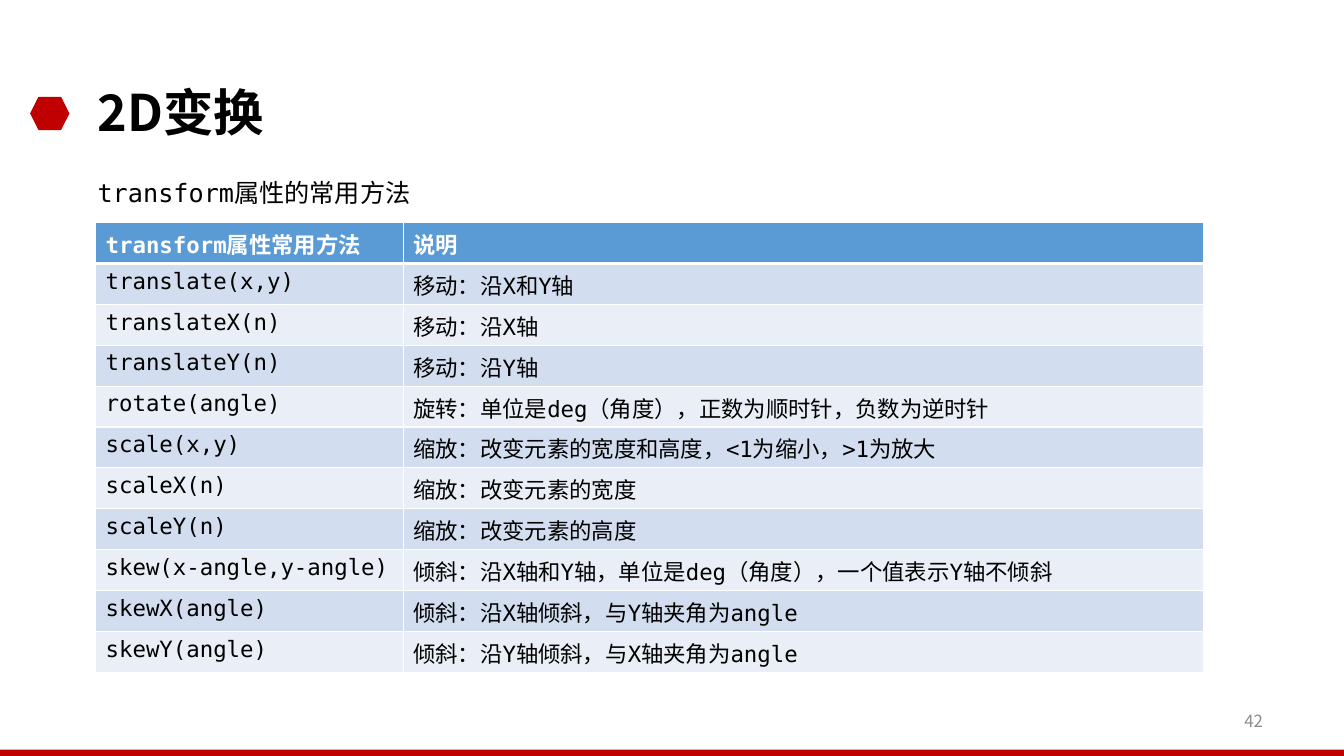
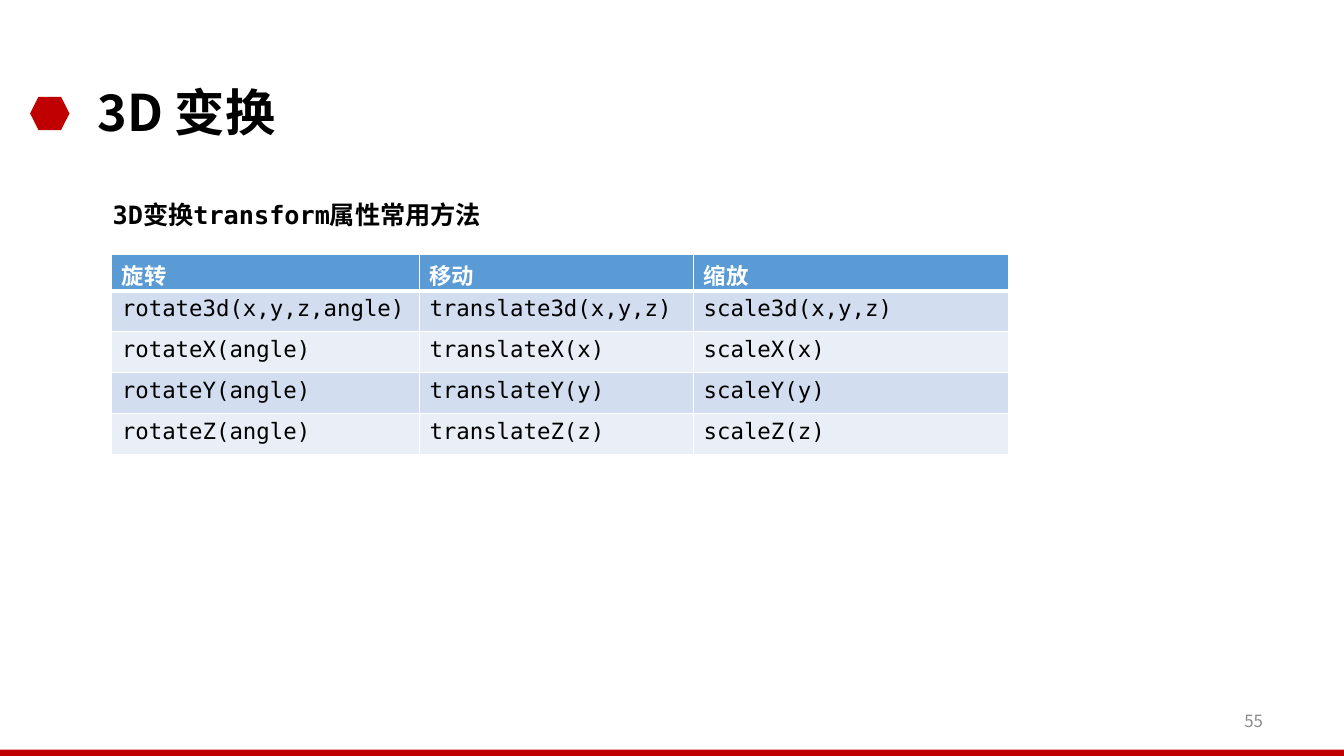
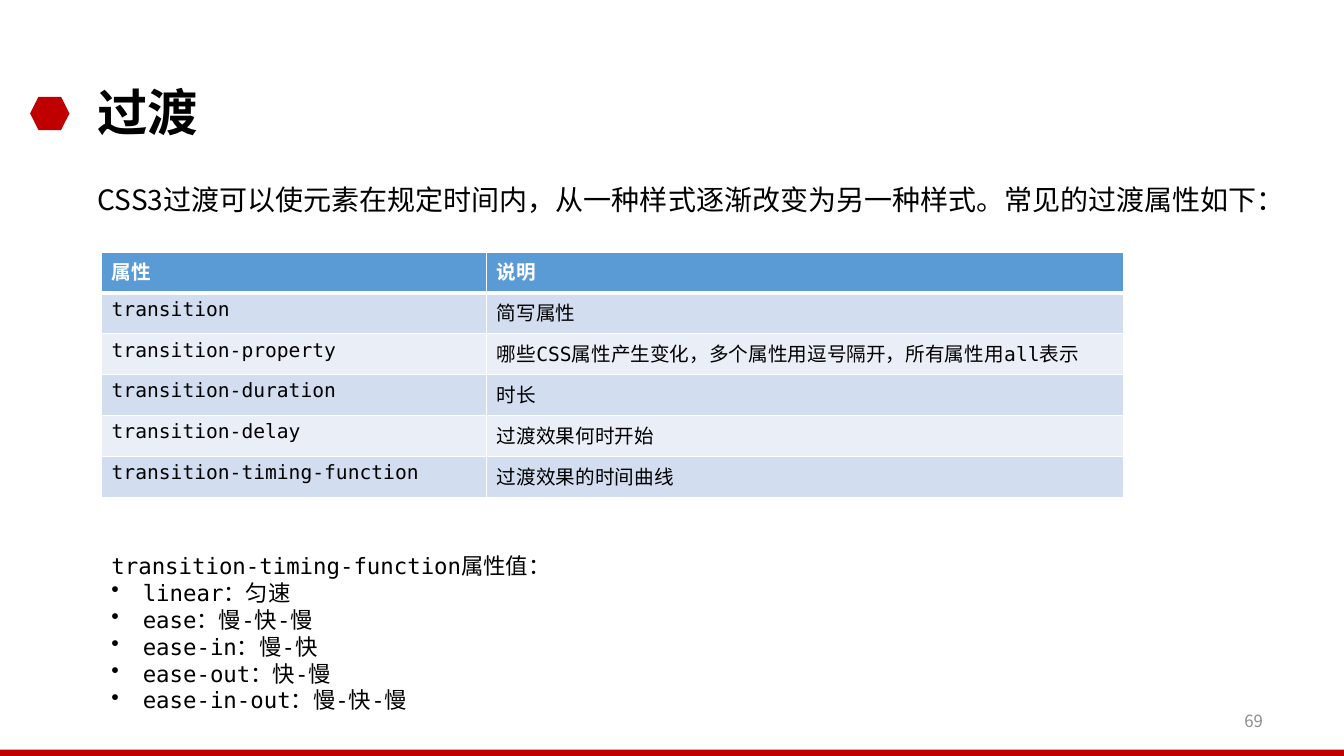
from dataclasses import dataclass

from lxml.etree import SubElement
from pptx import Presentation
from pptx.dml.color import RGBColor
from pptx.enum.shapes import MSO_SHAPE as Shape
from pptx.enum.text import MSO_ANCHOR as Anchor, MSO_AUTO_SIZE as Fit, PP_ALIGN as Align
from pptx.oxml.ns import qn
from pptx.util import Cm, Pt


@dataclass(frozen=True)
class Theme:
    red: str = "C00000"
    grey: str = "8C8C8C"
    ink: str = "000000"
    white: str = "FFFFFF"
    head: str = "5B9BD5"
    bands: tuple = ("D2DEEF", "EAEFF7")
    sans: str = "Noto Sans CJK SC"
    mono: str = "DejaVu Sans Mono"
    title: int = 36
    lead: int = 20
    intro: int = 18
    body: int = 16
    small: int = 14
    foot: int = 12


T = Theme()
ROW = 1.03

# Boxes are (left, top, width, height) in cm.
SLIDES = [
    dict(
        title="2D变换", page=42,
        intro=dict(text="transform属性的常用方法", box=(2.21, 3.96, 27.36, 1.3),
                   size=T.intro, face=T.mono, space=1.5),
        table=dict(at=(2.41, 5.61), cols=(7.75, 20.17), top=ROW, size=T.body, rows=[
            ("transform属性常用方法", "说明"),
            ("translate(x,y)", "移动：沿X和Y轴"),
            ("translateX(n)", "移动：沿X轴"),
            ("translateY(n)", "移动：沿Y轴"),
            ("rotate(angle)", "旋转：单位是deg（角度），正数为顺时针，负数为逆时针"),
            ("scale(x,y)", "缩放：改变元素的宽度和高度，<1为缩小，>1为放大"),
            ("scaleX(n)", "缩放：改变元素的宽度"),
            ("scaleY(n)", "缩放：改变元素的高度"),
            ("skew(x-angle,y-angle)", "倾斜：沿X轴和Y轴，单位是deg（角度），一个值表示Y轴不倾斜"),
            ("skewX(angle)", "倾斜：沿X轴倾斜，与Y轴夹角为angle"),
            ("skewY(angle)", "倾斜：沿Y轴倾斜，与X轴夹角为angle"),
        ]),
    ),
    dict(
        title="3D 变换", page=55,
        intro=dict(text="3D变换transform属性常用方法", box=(2.59, 4.52, 27.36, 1.3),
                   size=T.intro, face=T.mono, space=1.5, bold=True),
        table=dict(at=(2.82, 6.4), cols=(7.75, 6.91, 7.95), top=0.82, size=T.body, rows=[
            ("旋转", "移动", "缩放"),
            ("rotate3d(x,y,z,angle)", "translate3d(x,y,z)", "scale3d(x,y,z)"),
            ("rotateX(angle)", "translateX(x)", "scaleX(x)"),
            ("rotateY(angle)", "translateY(y)", "scaleY(y)"),
            ("rotateZ(angle)", "translateZ(z)", "scaleZ(z)"),
        ]),
    ),
    dict(
        title="过渡", page=69,
        intro=dict(text="CSS3过渡可以使元素在规定时间内，从一种样式逐渐改变为另一种样式。常见的过渡属性如下：",
                   box=(2.21, 4.47, 30.56, 1.11), size=T.lead, wrap=False),
        table=dict(at=(2.56, 6.35), cols=(9.71, 16.04), top=ROW, size=T.small, rows=[
            ("属性", "说明"),
            ("transition", "简写属性"),
            ("transition-property", "哪些CSS属性产生变化，多个属性用逗号隔开，所有属性用all表示"),
            ("transition-duration", "时长"),
            ("transition-delay", "过渡效果何时开始"),
            ("transition-timing-function", "过渡效果的时间曲线"),
        ]),
        values=dict(
            lead="transition-timing-function属性值：", box=(2.56, 13.79, 26.01, 4.37),
            items=["linear：匀速", "ease：慢-快-慢", "ease-in：慢-快",
                   "ease-out：快-慢", "ease-in-out：慢-快-慢"]),
    ),
]


def rgb(code):
    return RGBColor.from_string(code)


def style(para, size, face=T.sans, color=T.ink, bold=False):
    """Set the paragraph's font; Chinese text always uses the sans face."""
    font = para.font
    font.size, font.bold, font.name = Pt(size), bold, face
    font.color.rgb = rgb(color)
    props = para._p.pPr.find(qn("a:defRPr"))
    SubElement(props, qn("a:ea")).set("typeface", T.sans)


def add_text(slide, text, box, size, anchor=Anchor.TOP, space=None, wrap=True,
             fit=Fit.SHAPE_TO_FIT_TEXT, **look):
    frame = slide.shapes.add_textbox(*map(Cm, box)).text_frame
    frame.word_wrap, frame.auto_size, frame.vertical_anchor = wrap, fit, anchor
    para = frame.paragraphs[0]
    para.text = text
    if space:
        para.line_spacing = space
    style(para, size, **look)
    return frame


def add_block(slide, kind, *box):
    block = slide.shapes.add_shape(kind, *map(Cm, box))
    block.shadow.inherit = False
    block.fill.solid()
    block.fill.fore_color.rgb = rgb(T.red)
    block.line.fill.background()


def add_base(slide, title, page):
    """Draw the marker, bottom band, page number and title."""
    add_block(slide, Shape.HEXAGON, 0.76, 2.44, 0.99, 0.84)
    add_block(slide, Shape.RECTANGLE, 0, 18.89, 33.87, 0.16)
    foot = add_text(slide, str(page), (24.46, 17.65, 7.62, 1.02), T.foot,
                    Anchor.MIDDLE, fit=Fit.NONE, color=T.grey)
    foot.paragraphs[0].alignment = Align.RIGHT
    foot.paragraphs[0].space_after = Pt(6)
    add_text(slide, title, (2.21, 1.32, 30.3, 3.15), T.title,
             Anchor.MIDDLE, space=0.9, fit=Fit.NONE, bold=True)


def add_edges(cell, head, below):
    """Rule the cell in white, thicker between header and body."""
    props = cell._tc.get_or_add_tcPr()
    widths = dict(lnL=1, lnR=1, lnT=3 if below else 1, lnB=3 if head else 1)
    for tag, width in widths.items():
        line = SubElement(props, qn(f"a:{tag}"), w=str(Pt(width)))
        fill = SubElement(line, qn("a:solidFill"))
        SubElement(fill, qn("a:srgbClr"), val=T.white)


def add_grid(slide, at, cols, top, size, rows):
    high = [top] + [ROW] * (len(rows) - 1)
    box = (*at, sum(cols), sum(high))
    grid = slide.shapes.add_table(len(rows), len(cols), *map(Cm, box)).table
    for col, width in zip(grid.columns, cols):
        col.width = Cm(width)
    for r, row in enumerate(rows):
        grid.rows[r].height = Cm(high[r])
        head = r == 0
        for c, text in enumerate(row):
            cell = grid.cell(r, c)
            add_edges(cell, head, r == 1)
            cell.fill.solid()
            cell.fill.fore_color.rgb = rgb(T.head if head else T.bands[(r - 1) % 2])
            para = cell.text_frame.paragraphs[0]
            para.text = text
            style(para, size, T.mono, T.white if head else T.ink, head)


def add_list(slide, lead, box, items):
    frame = add_text(slide, lead, box, T.body, face=T.mono)
    for item in items:
        para = frame.add_paragraph()
        para.text = item
        props = para._p.get_or_add_pPr()
        props.set("marL", str(Cm(0.79)))
        props.set("indent", str(-Cm(0.79)))
        SubElement(props, qn("a:buChar"), char="•")
        style(para, T.body, T.mono)


def main():
    deck = Presentation()
    deck.slide_width, deck.slide_height = Cm(33.87), Cm(19.05)
    for data in SLIDES:
        slide = deck.slides.add_slide(deck.slide_layouts[6])
        add_base(slide, data["title"], data["page"])
        add_text(slide, **data["intro"])
        add_grid(slide, **data["table"])
        if "values" in data:
            add_list(slide, **data["values"])
    deck.save("out.pptx")


if __name__ == "__main__":
    main()
